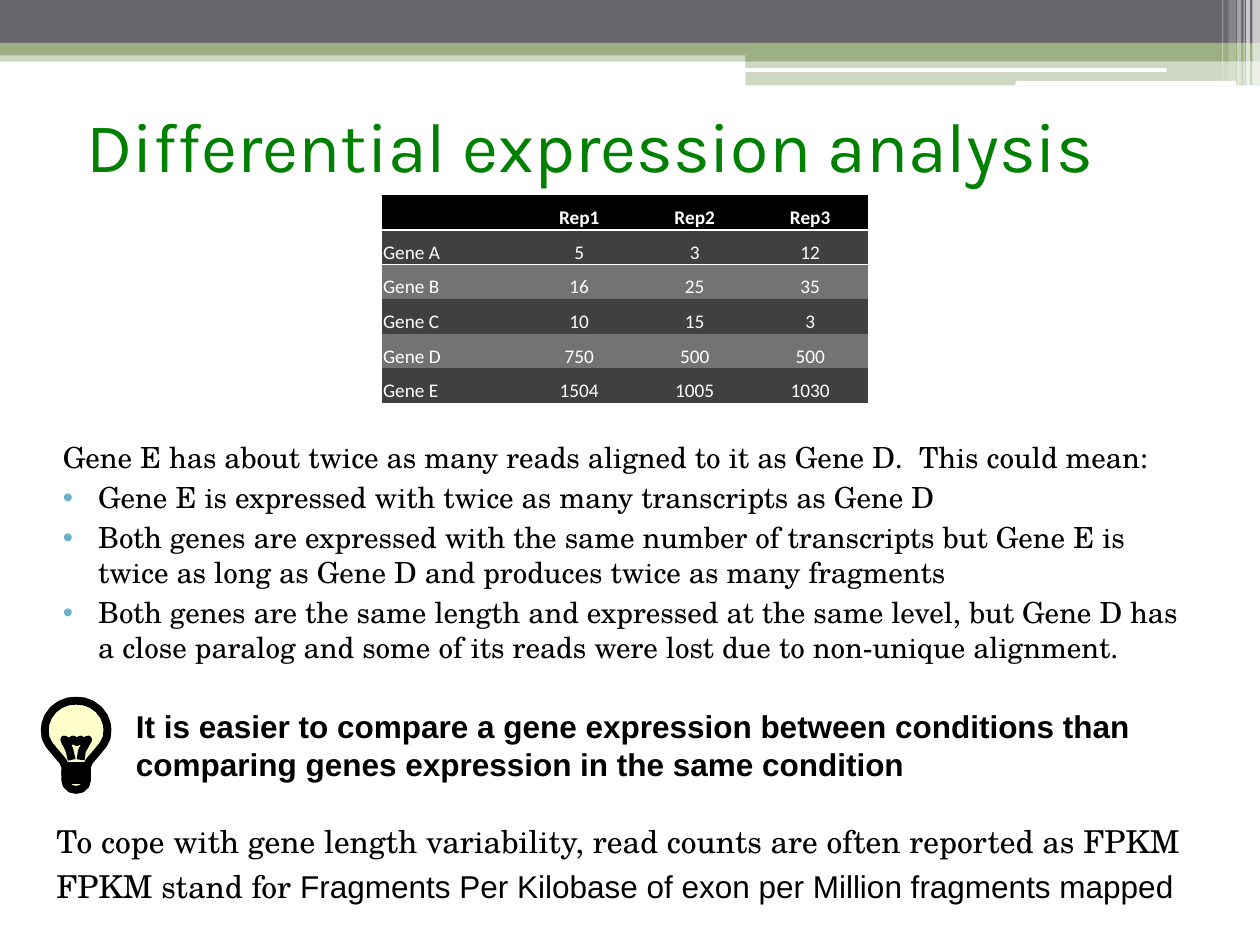
from lxml.etree import SubElement
from pptx import Presentation
from pptx.dml.color import RGBColor
from pptx.enum.shapes import MSO_SHAPE as Preset
from pptx.enum.text import MSO_ANCHOR as Anchor, PP_ALIGN as Align
from pptx.oxml.ns import qn
from pptx.util import Pt

SERIF = "TeX Gyre Schola"
NO_STYLE = "{2D5ABB26-0587-4C30-8999-92F81FD0307C}"
GREEN, WHITE, BLACK = "9CB084", "FFFFFF", "000000"

BANDS = [
    (0, 28.8, 720, 6.5, GREEN, 50),
    (0, 0, 720, 24.5, "69676D", 100),
    (0, 24.5, 720, 7.2, GREEN, 100),
    (426, 28.1, 294, 7, GREEN, 100),
    (426, 35.1, 294, 13.7, GREEN, 50),
]
ROUNDED_BARS = [(425.5, 38.9, 241.2, 2.2), (580.3, 46.2, 126, 2.7)]
STRIPES = [
    (715.7, 4.3, 48.8, 65),
    (712.1, 2.2, 48.8, 65),
    (710.6, 0.7, 48.8, 60),
    (707, 2.2, 48.8, 40),
    (702, 4.3, 46.1, 20),
    (698.4, 0.7, 46.1, 30),
]
COUNTS = [
    ("", "Rep1", "Rep2", "Rep3"),
    ("Gene A", "5", "3", "12"),
    ("Gene B", "16", "25", "35"),
    ("Gene C", "10", "15", "3"),
    ("Gene D", "750", "500", "500"),
    ("Gene E", "1504", "1005", "1030"),
]
READS = [
    "Gene E has about twice as many reads aligned to it as Gene D.  This could mean:",
    "Gene E is expressed with twice as many transcripts as Gene D",
    "Both genes are expressed with the same number of transcripts but Gene E is "
    "twice as long as Gene D and produces twice as many fragments",
    "Both genes are the same length and expressed at the same level, but Gene D has "
    "a close paralog and some of its reads were lost due to non-unique alignment.",
]
ADVICE = ("It is easier to compare a gene expression between conditions than "
          "comparing genes expression in the same condition")
FPKM = [
    "To cope with gene length variability, read counts are often reported as FPKM",
    "FPKM stand for ",
]
FPKM_MEANING = "Fragments Per Kilobase of exon per Million fragments mapped"

BULB_AXIS = 43.5
BULB_HALF = [
    (0, 451.4), (3, 450.8), (5.5, 448.5), (6.2, 445.5), (6.2, 438), (7.5, 435),
    (12, 429.8), (15.5, 425.5), (17.5, 421.5), (17.9, 417), (17.5, 413.5),
    (16, 409.5), (13, 405.5), (9, 402.5), (4.5, 400.8), (0, 400.4),
]
FILAMENT = [
    (41, 434.2), (39.6, 428.4), (37.4, 424.1), (36.7, 422.6), (39.6, 424.1),
    (41.8, 422.6), (43.9, 424.1), (46.1, 422.6), (47.5, 424.1), (50.4, 422.6),
    (46.8, 429.1), (46.1, 434.2),
]
SCREW = [
    (37.4, 437.8), (49.7, 437.8), (49.7, 440.6), (37.4, 440.6),
    (37.4, 442.8), (49.7, 443.5), (49.7, 445.7), (37.4, 445.7),
]


def color(value):
    """Turn a hex string into a colour."""
    return RGBColor.from_string(value)


def add_bar(page, left, top, width, height, fill, opacity=100, preset=Preset.RECTANGLE):
    """Add a borderless bar with the given opacity in percent."""
    bar = page.shapes.add_shape(preset, Pt(left), Pt(top), Pt(width), Pt(height))
    bar.shadow.inherit = False
    bar.fill.solid()
    bar.fill.fore_color.rgb = color(fill)
    bar.line.fill.background()
    if opacity < 100:
        tone = bar._element.spPr.find(qn("a:solidFill"))[0]
        SubElement(tone, qn("a:alpha")).set("val", str(opacity * 1000))


def style_span(span, size, font, fill, bold=False):
    """Set the font of one run."""
    span.font.size = Pt(size)
    span.font.name = font
    span.font.bold = bold
    span.font.color.rgb = color(fill)


def add_text(page, left, top, width, height, lines, size, font, fill=BLACK, bold=False):
    """Add a wrapping text box with one paragraph per line and return its frame."""
    box = page.shapes.add_textbox(Pt(left), Pt(top), Pt(width), Pt(height))
    frame = box.text_frame
    frame.word_wrap = True
    frame.text = "\n".join(lines)
    for para in frame.paragraphs:
        style_span(para.runs[0], size, font, fill, bold)
    return frame


def hang(para, indent, first_line):
    """Give a paragraph a left indent and a first-line offset."""
    props = para._p.get_or_add_pPr()
    props.set("marL", str(Pt(indent)))
    props.set("indent", str(Pt(first_line)))
    return props


def add_bullet(props, fill):
    """Add a coloured round bullet to paragraph properties."""
    tint = SubElement(props, qn("a:buClr"))
    SubElement(tint, qn("a:srgbClr")).set("val", fill)
    SubElement(props, qn("a:buFont")).set("typeface", "Arial")
    SubElement(props, qn("a:buChar")).set("char", "•")


def set_border(cell, side, fill, width):
    """Draw one border of a cell, placed before its fill."""
    props = cell._tc.get_or_add_tcPr()
    edge = SubElement(props, qn(f"a:{side}"))
    edge.set("w", str(Pt(width)))
    tone = SubElement(edge, qn("a:solidFill"))
    SubElement(tone, qn("a:srgbClr")).set("val", fill)
    props.insert(0, edge)


def fill_cell(cell, value, fill, centred, bold):
    """Write and format one table cell."""
    cell.margin_left = cell.margin_right = cell.margin_top = Pt(0.7)
    cell.margin_bottom = Pt(0)
    cell.vertical_anchor = Anchor.BOTTOM
    cell.fill.solid()
    cell.fill.fore_color.rgb = color(fill)
    cell.text = value
    para = cell.text_frame.paragraphs[0]
    para.alignment = Align.CENTER if centred else Align.LEFT
    for span in para.runs:
        style_span(span, 11, "Calibri", WHITE, bold)
    if not value:
        SubElement(para._p, qn("a:endParaRPr")).set("sz", "1100")


def add_counts(page, left, top, widths, row_height):
    """Add the table of read counts."""
    frame = page.shapes.add_table(len(COUNTS), len(widths), Pt(left), Pt(top),
                                  Pt(sum(widths)), Pt(row_height * len(COUNTS)))
    table = frame.table
    table._tbl.tblPr.find(qn("a:tableStyleId")).text = NO_STYLE
    for column, width in zip(table.columns, widths):
        column.width = Pt(width)
    for i, values in enumerate(COUNTS):
        table.rows[i].height = Pt(row_height)
        fill = BLACK if i == 0 else ("737373", "404040")[i % 2]
        for j, value in enumerate(values):
            fill_cell(table.cell(i, j), value, fill, j > 0, i == 0)
            if i < 2:
                set_border(table.cell(i, j), ("lnB", "lnT")[i], WHITE, 1)


def add_outline(page, points, fill=None, closed=True):
    """Add a thick black outline through the points."""
    corners = [(Pt(x), Pt(y)) for x, y in points]
    builder = page.shapes.build_freeform(*corners[0])
    builder.add_line_segments(corners[1:], close=closed)
    outline = builder.convert_to_shape()
    outline.shadow.inherit = False
    outline.line.color.rgb = color(BLACK)
    outline.line.width = Pt(4.5)
    if fill:
        outline.fill.solid()
        outline.fill.fore_color.rgb = color(fill)
    else:
        outline.fill.background()


def main():
    """Build the slide and save it."""
    deck = Presentation()
    deck.slide_width, deck.slide_height = Pt(720), Pt(540)
    page = deck.slides.add_slide(deck.slide_layouts[6])
    for band in BANDS:
        add_bar(page, *band)
    for bar in ROUNDED_BARS:
        add_bar(page, *bar, WHITE, preset=Preset.ROUNDED_RECTANGLE)
    for left, width, height, opacity in STRIPES:
        add_bar(page, left, 0, width, height, WHITE, opacity)

    title = add_text(page, 42.5, 49, 666, 67.7, ["Differential expression analysis"],
                     40, "Karla", "008000")
    title.vertical_anchor = Anchor.MIDDLE
    reads = add_text(page, 20.2, 247.7, 666, 147.6, READS, 16.6, SERIF)
    for i, para in enumerate(reads.paragraphs):
        props = hang(para, 28.8, -20.2)
        if i:
            para.space_before = Pt(3)
            add_bullet(props, "6BB1C9")
    add_counts(page, 218.2, 111.6, [79.8, 66, 66, 66], 19.8)
    add_text(page, 70.6, 400.3, 601.2, 51.1, [ADVICE], 18, "Arial", bold=True)
    fpkm = add_text(page, 25.2, 468.7, 657.4, 67.7, FPKM, 18, SERIF)
    for i, para in enumerate(fpkm.paragraphs):
        hang(para, 17.3, -17.3)
        para.line_spacing = 0.9
        para.space_before = Pt(6 * i)
    meaning = fpkm.paragraphs[1].add_run()
    meaning.text = FPKM_MEANING
    style_span(meaning, 18, "Arial", BLACK)

    right = [(BULB_AXIS + x, y) for x, y in BULB_HALF]
    left = [(BULB_AXIS - x, y) for x, y in BULB_HALF[-2:0:-1]]
    add_outline(page, right + left, "FFFFCC")
    add_outline(page, FILAMENT, closed=False)
    add_outline(page, SCREW, closed=False)
    deck.save("out.pptx")


if __name__ == "__main__":
    main()
